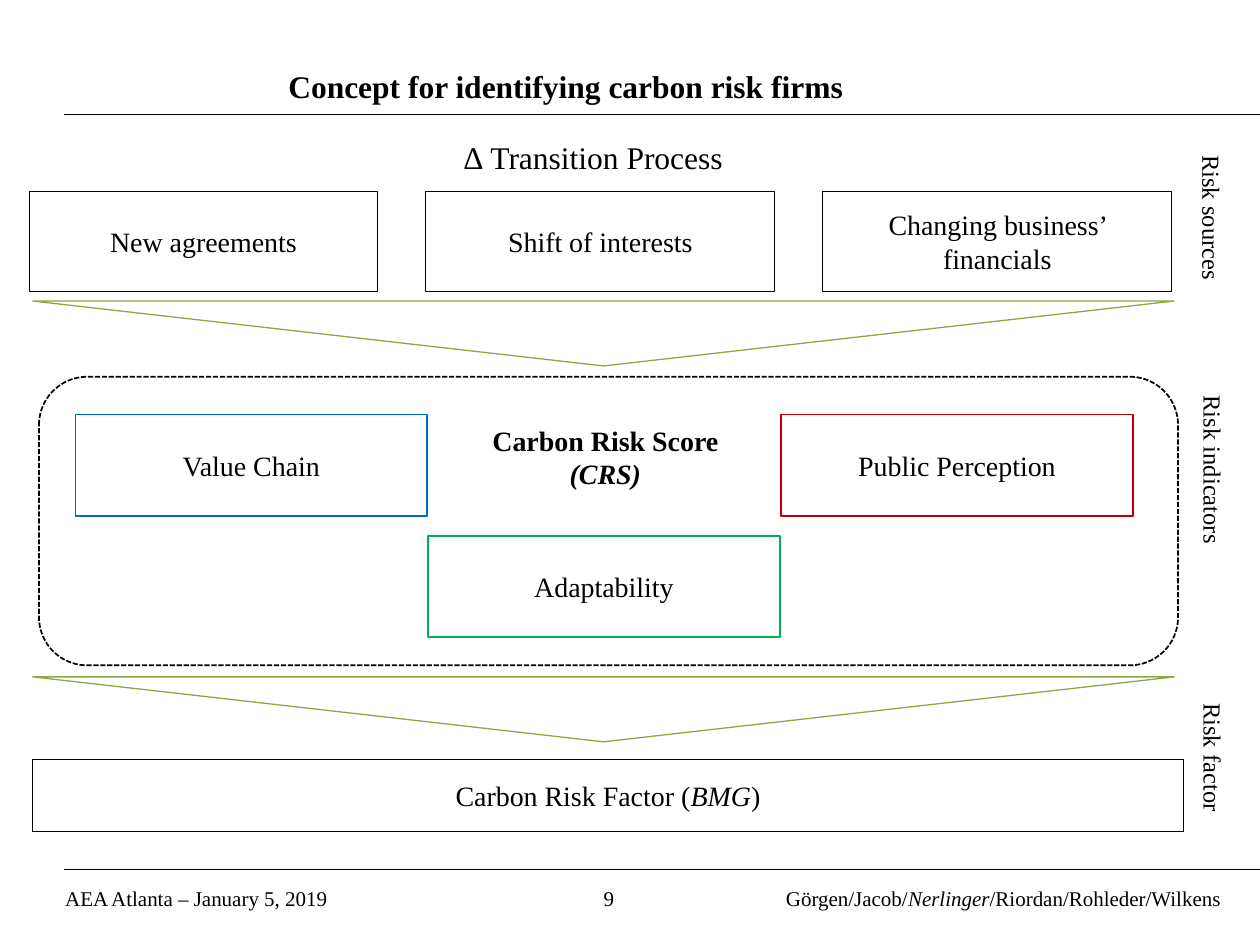
from lxml import etree
from pptx import Presentation
from pptx.dml.color import RGBColor
from pptx.enum import dml, shapes, text
from pptx.oxml.ns import qn
from pptx.util import Pt

BLACK = RGBColor(0, 0, 0)
WHITE = RGBColor(255, 255, 255)
GREEN = RGBColor(0x00, 0xB0, 0x50)
BLUE = RGBColor(0x00, 0x70, 0xC0)
RED = RGBColor(0xC0, 0x00, 0x00)
OLIVE = RGBColor(0x8C, 0xA8, 0x3E)
FONT = "Times New Roman"
LEFT, CENTER, RIGHT = text.PP_ALIGN.LEFT, text.PP_ALIGN.CENTER, text.PP_ALIGN.RIGHT
TOP, MIDDLE, BOTTOM = text.MSO_ANCHOR.TOP, text.MSO_ANCHOR.MIDDLE, text.MSO_ANCHOR.BOTTOM

TITLE = "Concept for identifying carbon risk firms"
HEADING = "∆ Transition Process"
SOURCES = ["New agreements", "Shift of interests", "Changing business’ financials"]
INDICATORS = [
    ("Value Chain", 43.2, 236.9, BLUE),
    ("Adaptability", 244.7, 306.1, GREEN),
    ("Public Perception", 446.4, 236.9, RED),
]
FACTOR = [("Carbon Risk Factor (", ""), ("BMG", "i"), (")", "")]
SCORE = [("Carbon Risk Score", "b"), ("(CRS)", "bi")]
STAGES = [
    ("Risk sources", 679.7, 81.4, 113),
    ("Risk indicators", 680.4, 218.9, 155.5),
    ("Risk factor", 680.4, 394.6, 94.3),
]
DATE = "AEA Atlanta – January 5, 2019"
PAGE = "9"
AUTHORS = [("Görgen/Jacob/", ""), ("Nerlinger", "i"), ("/Riordan/Rohleder/Wilkens", "")]

RULES = [65.5, 496.8]
FUNNEL_TOPS = [172, 386.8]
FUNNEL_X, FUNNEL_W, FUNNEL_H = 18.7, 652.3, 37.1
SOURCE_X, SOURCE_STEP = 16.6, 226.8

prs = Presentation()
prs.slide_width, prs.slide_height = Pt(720), Pt(540)
s = prs.slides.add_slide(prs.slide_layouts[6])


def write(sp, paragraphs, size, align=CENTER, anchor=MIDDLE, inset=(7.2, 3.6)):
    tf = sp.text_frame
    tf.word_wrap = True
    tf.vertical_anchor = anchor
    tf.margin_left = tf.margin_right = Pt(inset[0])
    tf.margin_top = tf.margin_bottom = Pt(inset[1])
    for i, runs in enumerate(paragraphs):
        p = tf.paragraphs[0] if i == 0 else tf.add_paragraph()
        p.alignment = align
        p.font.name, p.font.size, p.font.color.rgb = FONT, Pt(size), BLACK
        for words, style in runs:
            r = p.add_run()
            r.text = words
            if "b" in style:
                r.font.bold = True
            if "i" in style:
                r.font.italic = True


def label(box, paragraphs, size, **layout):
    write(s.shapes.add_textbox(*map(Pt, box)), paragraphs, size, **layout)


def outline(sp, color, width):
    sp.shadow.inherit = False
    if color is None:
        sp.line.fill.background()
    else:
        sp.line.color.rgb = color
        sp.line.width = Pt(width)


def box(place, runs, size=16, color=BLACK, width=0.5, inset=(7.2, 3.6)):
    sp = s.shapes.add_shape(shapes.MSO_SHAPE.RECTANGLE, *map(Pt, place))
    sp.fill.solid()
    sp.fill.fore_color.rgb = WHITE
    outline(sp, color, width)
    write(sp, [runs], size, inset=inset)
    return sp


def funnel(top):
    fb = s.shapes.build_freeform(Pt(FUNNEL_X), Pt(top))
    fb.add_line_segments([
        (Pt(FUNNEL_X + FUNNEL_W / 2), Pt(top + FUNNEL_H)),
        (Pt(FUNNEL_X + FUNNEL_W), Pt(top)),
    ])
    sp = fb.convert_to_shape()
    sp.fill.background()
    outline(sp, OLIVE, 0.75)


for y in RULES:
    rule = s.shapes.add_connector(shapes.MSO_CONNECTOR.STRAIGHT, Pt(36.7), Pt(y), Pt(720), Pt(y))
    rule.line.color.rgb = BLACK
    rule.line.width = Pt(1)
    etree.SubElement(rule._element.spPr, qn("a:effectLst"))

label((30.2, 502.6, 335.5, 21.6), [[(DATE, "")]], 12, align=LEFT, anchor=TOP)
label((433.4, 502.6, 271.4, 21.6), [AUTHORS], 12, align=RIGHT, anchor=TOP)
label((344.9, 496.8, 30.2, 23.8), [[(PAGE, "")]], 12, align=LEFT, anchor=BOTTOM, inset=(0, 0))

frame = s.shapes.add_shape(shapes.MSO_SHAPE.ROUNDED_RECTANGLE, Pt(22.3), Pt(215.3), Pt(650.9), Pt(164.9))
frame.adjustments[0] = 0.167
frame.fill.background()
outline(frame, BLACK, 1)
frame.line.dash_style = dml.MSO_LINE.SQUARE_DOT

label((99.4, 20.2, 447.8, 57.6), [[(TITLE, "b")]], 18)
label((209.5, 73.4, 259.2, 32.4), [[(HEADING, "")]], 18)

for i, name in enumerate(SOURCES):
    box((SOURCE_X + i * SOURCE_STEP, 109.4, 199.4, 57), [(name, "")])
for name, x, y, color in INDICATORS:
    box((x, y, 200.9, 57.8), [(name, "")], color=color, width=1)
box((18.7, 434.2, 657.4, 41), FACTOR)

for top in FUNNEL_TOPS:
    funnel(top)

for name, x, y, height in STAGES:
    sp = box((x, y, 25.9, height), [(name, "")], size=14, color=None, inset=(3.6, 7.2))
    sp.text_frame._txBody.bodyPr.set("vert", "eaVert")

label((263.5, 238.3, 164.9, 52.6), [[line] for line in SCORE], 16, anchor=TOP)

prs.save("out.pptx")
